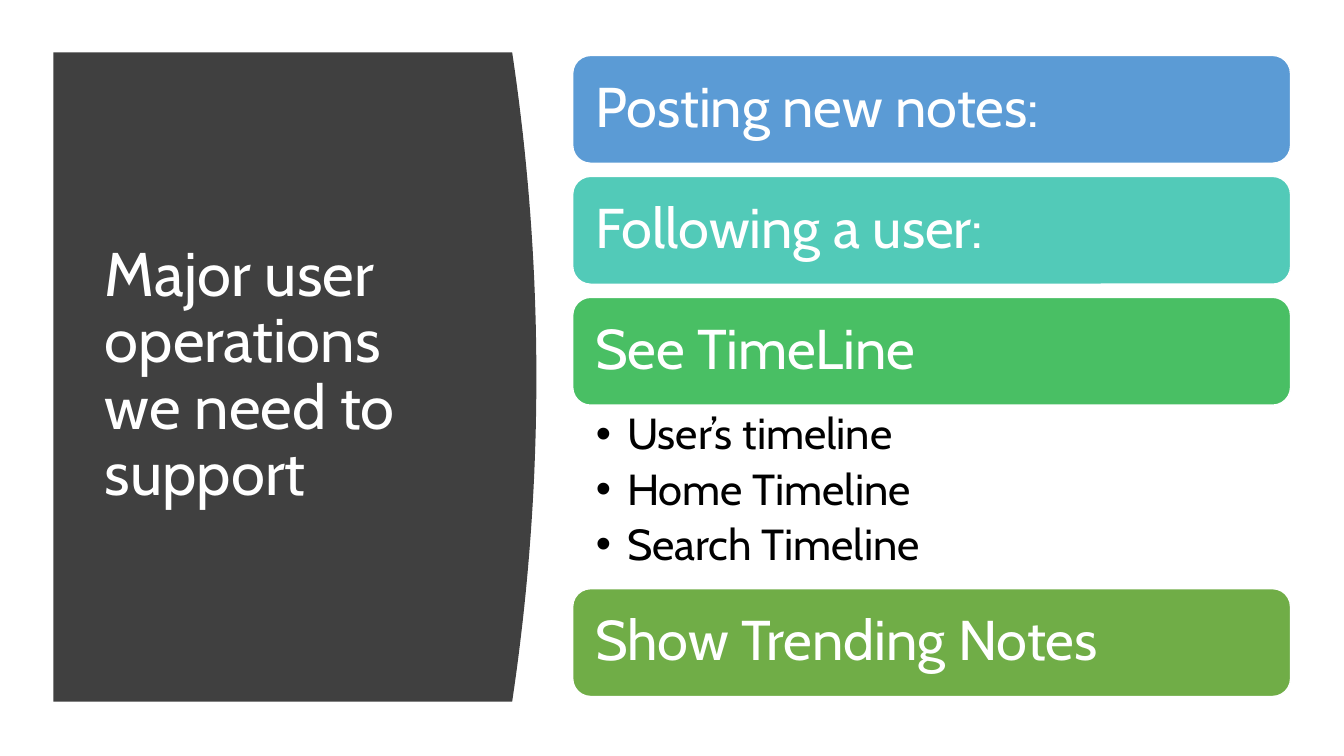
from dataclasses import dataclass

from lxml import etree
from pptx import Presentation
from pptx.dml.color import RGBColor
from pptx.enum.shapes import MSO_SHAPE
from pptx.enum.text import MSO_ANCHOR, MSO_AUTO_SIZE, PP_ALIGN
from pptx.oxml.ns import qn
from pptx.util import Inches, Pt

ROUNDED = MSO_SHAPE.ROUNDED_RECTANGLE
MIDDLE, TOP = MSO_ANCHOR.MIDDLE, MSO_ANCHOR.TOP
LEFT = PP_ALIGN.LEFT
NO_AUTOFIT = MSO_AUTO_SIZE.NONE


@dataclass(frozen=True)
class Theme:
    font: str = "Cabin"
    panel: str = "404040"
    light: str = "FFFFFF"
    dark: str = "000000"
    posting: str = "5B9BD5"
    following: str = "52CAB8"
    timeline: str = "49BF64"
    trending: str = "70AD47"
    title_size: int = 44
    bar_size: int = 40
    list_size: int = 31


THEME = Theme()
COLUMN_LEFT, COLUMN_WIDTH = 5.68, 7.12
BAR_HEIGHT = 1.07
BARS = [
    ("Posting new notes:", THEME.posting, 0.55),
    ("Following a user:", THEME.following, 1.75),
    ("See TimeLine", THEME.timeline, 2.95),
    ("Show Trending Notes", THEME.trending, 5.84),
]
TIMELINES = ["User’s timeline", "Home Timeline", "Search Timeline"]


def rgb(value):
    return RGBColor.from_string(value)


def place(shape, left, top, width, height):
    shape.left, shape.top = Inches(left), Inches(top)
    shape.width, shape.height = Inches(width), Inches(height)


def set_frame(frame, anchor, insets):
    frame.word_wrap = True
    frame.auto_size = NO_AUTOFIT
    frame.vertical_anchor = anchor
    frame.margin_left, frame.margin_top, frame.margin_right, frame.margin_bottom = (
        Inches(inset) for inset in insets
    )


def style_paragraph(paragraph, size, color, space_after=0):
    paragraph.alignment = LEFT
    paragraph.line_spacing = 0.9
    paragraph.space_before = Pt(0)
    paragraph.space_after = Pt(space_after)
    paragraph.font.name = THEME.font
    paragraph.font.size = Pt(size)
    paragraph.font.color.rgb = rgb(color)


def add_curved_panel(slide, left, top, bottom, edge, bulge, steps=40):
    curve = []
    for step in range(steps + 1):
        t = step / steps
        x = edge + bulge * 4 * t * (1 - t)
        curve.append((Inches(x), Inches(top + (bottom - top) * t)))
    builder = slide.shapes.build_freeform(Inches(left), Inches(top))
    builder.add_line_segments(curve + [(Inches(left), Inches(bottom))], close=True)
    panel = builder.convert_to_shape()
    panel.shadow.inherit = False
    panel.fill.solid()
    panel.fill.fore_color.rgb = rgb(THEME.panel)
    panel.line.fill.background()
    slide.shapes.title.element.addprevious(panel.element)


def fill_title(title, text):
    place(title, 0.94, 1.11, 3.74, 5.24)
    title.text_frame.text = text
    set_frame(title.text_frame, MIDDLE, (0.1, 0.05, 0.1, 0.05))
    style_paragraph(title.text_frame.paragraphs[0], THEME.title_size, THEME.light)


def add_bar(slide, text, color, top):
    bar = slide.shapes.add_shape(
        ROUNDED, Inches(COLUMN_LEFT), Inches(top), Inches(COLUMN_WIDTH), Inches(BAR_HEIGHT)
    )
    bar.shadow.inherit = False
    bar.fill.solid()
    bar.fill.fore_color.rgb = rgb(color)
    bar.line.color.rgb = rgb(THEME.light)
    bar.line.width = Pt(1)
    bar.text_frame.text = text
    set_frame(bar.text_frame, MIDDLE, (0.17, 0.17, 0.17, 0.17))
    style_paragraph(bar.text_frame.paragraphs[0], THEME.bar_size, THEME.light)


def fill_list(body, items):
    place(body, COLUMN_LEFT, 4.03, COLUMN_WIDTH, 1.81)
    body.text_frame.text = "\n".join(items)
    set_frame(body.text_frame, TOP, (0.23, 0.06, 0.31, 0.06))
    for paragraph in body.text_frame.paragraphs:
        paragraph.level = 1
        properties = paragraph._p.get_or_add_pPr()
        properties.set("marL", str(Inches(0.31)))
        properties.set("indent", str(Inches(-0.31)))
        etree.SubElement(properties, qn("a:buChar"), char="•")
        style_paragraph(paragraph, THEME.list_size, THEME.dark, space_after=6)


def main():
    presentation = Presentation()
    presentation.slide_width = Inches(13.33)
    presentation.slide_height = Inches(7.5)
    slide = presentation.slides.add_slide(presentation.slide_layouts[1])
    fill_title(slide.shapes.title, "Major user operations we need to support")
    add_curved_panel(slide, left=0.53, top=0.52, bottom=6.96, edge=5.08, bulge=0.24)
    for text, color, top in BARS:
        add_bar(slide, text, color, top)
    fill_list(slide.placeholders[1], TIMELINES)
    presentation.save("out.pptx")


if __name__ == "__main__":
    main()
